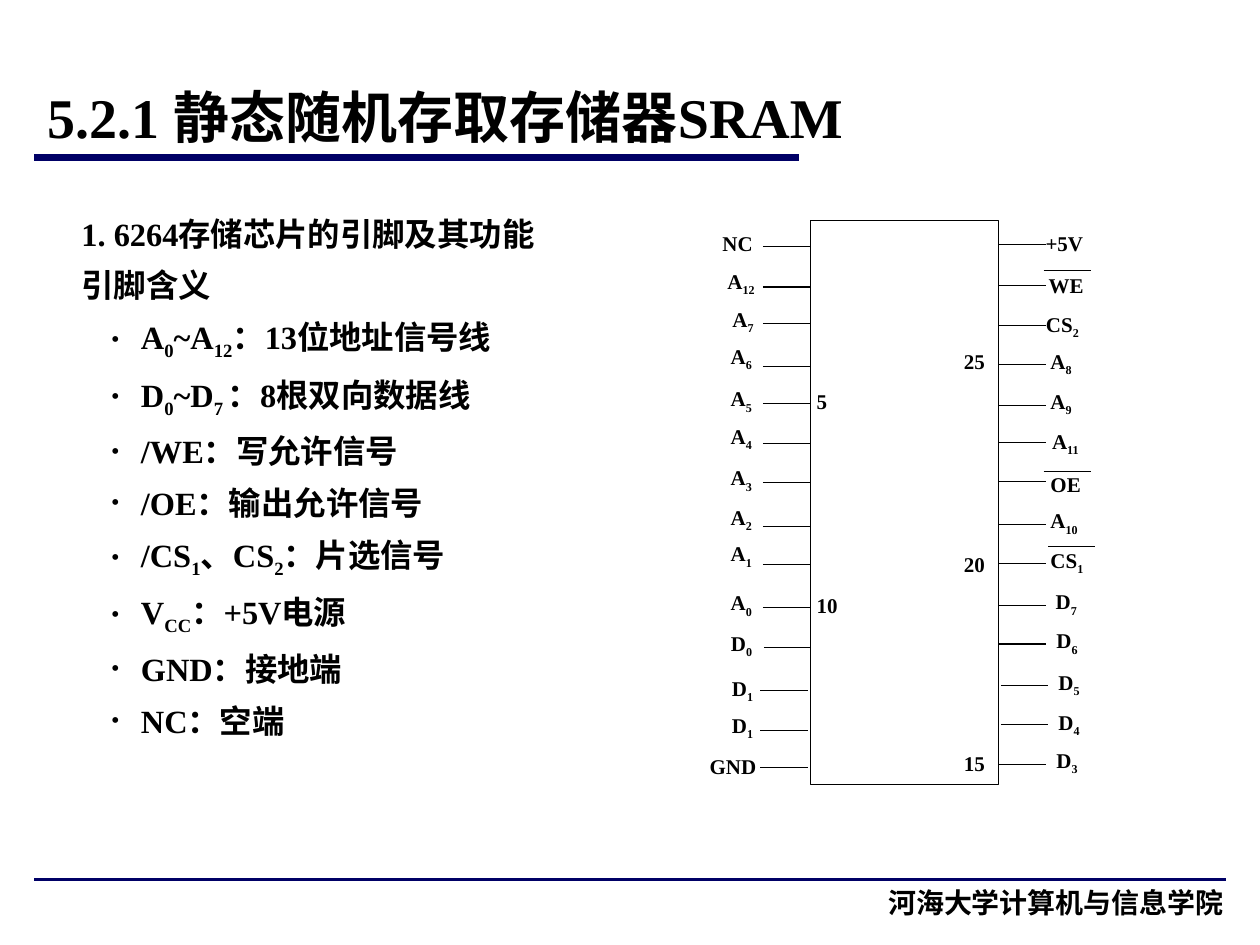
from lxml.etree import SubElement as Sub
from pptx import Presentation
from pptx.dml.color import RGBColor as RGB
from pptx.enum.shapes import MSO_CONNECTOR as CONN, MSO_SHAPE as SHAPE
from pptx.enum.text import MSO_ANCHOR as ANC, MSO_AUTO_SIZE as AUTO, PP_ALIGN as AL
from pptx.oxml.ns import qn
from pptx.util import Pt

# Content; text between underscores is subscript
TITLE = "5.2.1 静态随机存取存储器SRAM"
FOOT = "河海大学计算机与信息学院"
HEADS = ["1. 6264存储芯片的引脚及其功能", "引脚含义"]
ITEMS = [
    "A_0_~A_12_：13位地址信号线",
    "D_0_~D_7 _：8根双向数据线",
    "/WE：写允许信号",
    "/OE：输出允许信号",
    "/CS_1_、CS_2_：片选信号",
    "V_CC_：+5V电源",
    "GND：接地端",
    "NC：空端",
]
# Pins: label, label left, label top, lead height, lead shift
LEFT = [
    ("NC", 412.8, 125.5, 141, 0), ("A_12_", 415.7, 148.3, 164, 0),
    ("A_7_", 418.5, 170, 185, 0), ("A_6_", 417.5, 191.3, 209.5, 0),
    ("A_5_", 417.5, 215.5, 230.5, 0), ("A_4_", 417.5, 237, 253.5, 0),
    ("A_3_", 417.5, 260.5, 275.8, 0), ("A_2_", 417.5, 283, 301, 0),
    ("A_1_", 417.5, 304, 322.7, 0), ("A_0_", 417.5, 332, 347, 0),
    ("D_0_", 417.7, 355, 370, 0.5), ("D_1_", 418.2, 381, 394.5, -1.5),
    ("D_1_", 418.2, 401.8, 417.5, -1.5), ("GND", 405.5, 424.8, 438.5, -1.5),
]
RIGHT = [
    ("+5V", 597.5, 125.5, 139.7, 0), ("WE", 599.3, 149.8, 163, 0),
    ("CS_2_", 597.7, 172.8, 186, 0), ("A_8_", 600.3, 193.9, 208.2, 0),
    ("A_9_", 600.3, 216.9, 231.8, 0), ("A_11_", 601.2, 239.8, 252.7, 0),
    ("OE", 600.3, 263.5, 275, 0), ("A_10_", 600.3, 285.2, 299.6, 0),
    ("CS_1_", 600.3, 307.7, 321.9, 0), ("D_7_", 603.3, 331.4, 346, 0),
    ("D_6_", 603.7, 353.7, 368, 0), ("D_5_", 604.8, 377.3, 391.6, 1.5),
    ("D_4_", 604.8, 400.3, 414, 1.5), ("D_3_", 603.7, 422.2, 437, 0.5),
]
NUMS = [("5", 466.7, 216.2), ("10", 466.7, 332.5), ("25", 550.8, 193),
        ("20", 550.8, 309), ("15", 550.8, 422.7)]
BARS = [(596.3, 154.7), (596.3, 269.4), (599, 312.4)]
RULES = [(19.7, 90, 436.8, 4), (19.7, 502.5, 680.6, 2)]
COL = {"ink": "000000", "navy": "000066"}
SERIF, HAN = "Times New Roman", "Noto Sans CJK SC"
LEAD = 27


def fill(par, text, size, face=SERIF):
    font = par.font
    font.name, font.size, font.bold = face, Pt(size), True
    font.color.rgb = RGB.from_string(COL["ink"])
    for i, part in enumerate(text.split("_")):
        if not part:
            continue
        run = par.add_run()
        run.text = part
        props = run._r.get_or_add_rPr()
        if i % 2:
            props.set("baseline", "-25000")
        Sub(props, qn("a:latin")).set("typeface", face)
        Sub(props, qn("a:ea")).set("typeface", HAN)


def box(on, x, y, w, h, pad=True):
    frame = on.add_textbox(Pt(x), Pt(y), Pt(w), Pt(h)).text_frame
    frame.word_wrap = True
    if not pad:
        frame.margin_left = frame.margin_right = 0
        frame.margin_top = frame.margin_bottom = 0
        frame.vertical_anchor = ANC.MIDDLE
    return frame


def label(on, text, x, y, w):
    fill(box(on, x, y, w, 26.5, False).paragraphs[0], text, 12)


def rule(on, x, y, w, thick=0.75, tint="ink"):
    line = on.add_connector(CONN.STRAIGHT, Pt(x), Pt(y), Pt(x + w), Pt(y))
    line.line.width = Pt(thick)
    line.line.color.rgb = RGB.from_string(COL[tint])
    Sub(line._element.spPr, qn("a:effectLst"))


deck = Presentation()
deck.slide_width, deck.slide_height = Pt(720), Pt(540)
slide = deck.slides.add_slide(deck.slide_layouts[5])
shapes = slide.shapes

# Rules and title
for x, y, w, thick in RULES:
    rule(shapes, x, y, w, thick, "navy")
head = shapes.title
head.left, head.top, head.width, head.height = Pt(19.7), Pt(37.5), Pt(629), Pt(57.5)
frame = head.text_frame
frame.auto_size, frame.vertical_anchor = AUTO.NONE, ANC.MIDDLE
frame.paragraphs[0].alignment = AL.JUSTIFY
fill(frame.paragraphs[0], TITLE, 32)

# Footer
foot = box(shapes, 411, 502.5, 295.2, 37.5).paragraphs[0]
foot.alignment = AL.RIGHT
fill(foot, FOOT, 16, HAN)

# Pin meanings
frame = box(shapes, 39.5, 116.5, 299.5, 340.5)
for i, text in enumerate(HEADS + ITEMS):
    par = frame.add_paragraph() if i else frame.paragraphs[0]
    par.line_spacing, par.space_before = 1.1, Pt(5)
    if i >= len(HEADS):
        props = par._p.get_or_add_pPr()
        props.set("marL", str(Pt(34)))
        props.set("indent", str(Pt(-17)))
        Sub(props, qn("a:buSzPct")).set("val", "75000")
        Sub(props, qn("a:buFont")).set("typeface", SERIF)
        Sub(props, qn("a:buChar")).set("char", "•")
    fill(par, text, 18.5)

# Chip body
chip = shapes.add_group_shape().shapes
body = chip.add_shape(SHAPE.RECTANGLE, Pt(463), Pt(126), Pt(107.5), Pt(322.5))
body.shadow.inherit = False
body.fill.background()
body.line.width = Pt(0.75)
body.line.color.rgb = RGB.from_string(COL["ink"])

# Pins: left labels end at one edge, right ones share a width
for pins, start, edge in ((LEFT, 436, 438), (RIGHT, 570.5, None)):
    for text, x, top, y, shift in pins:
        rule(chip, start + shift, y, LEAD)
        label(chip, text, x, top, edge - x if edge else 33.5)

# Pin numbers and overbars
for text, x, y in NUMS:
    label(chip, text, x, y, 25)
for x, y in BARS:
    rule(chip, x, y, LEAD)

deck.save("out.pptx")
